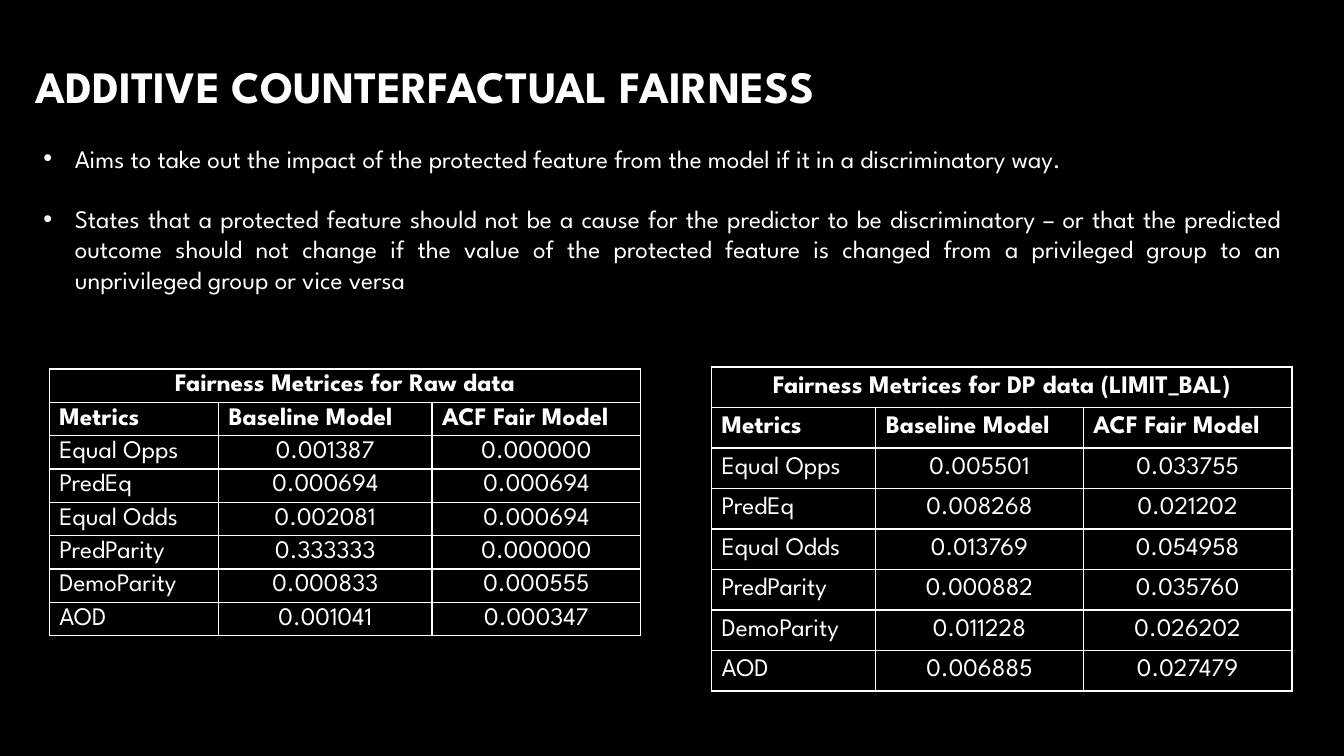
from lxml.etree import SubElement
from pptx import Presentation
from pptx.dml.color import RGBColor
from pptx.enum.text import MSO_ANCHOR, MSO_AUTO_SIZE, PP_ALIGN
from pptx.oxml import parse_xml
from pptx.oxml.ns import nsdecls, qn
from pptx.util import Cm, Pt

COLORS = {"background": "000000", "text": "FFFFFF", "title_end": "A6A6A6", "border": "FFFFFF"}
FONT = "League Spartan"
BODY_SIZE = 18
HEADINGS = ["Metrics", "Baseline Model", "ACF Fair Model"]
METRICS = ["Equal Opps", "PredEq", "Equal Odds", "PredParity", "DemoParity", "AOD"]
POINTS = [
    "Aims to take out the impact of the protected feature from the model "
    "if it in a discriminatory way.",
    "States that a protected feature should not be a cause for the predictor to be "
    "discriminatory – or that the predicted outcome should not change if the value of the "
    "protected feature is changed from a privileged group to an unprivileged group or vice versa",
]
RAW_SCORES = [
    ("0.001387", "0.000000"),
    ("0.000694", "0.000694"),
    ("0.002081", "0.000694"),
    ("0.333333", "0.000000"),
    ("0.000833", "0.000555"),
    ("0.001041", "0.000347"),
]
DP_SCORES = [
    ("0.005501", "0.033755"),
    ("0.008268", "0.021202"),
    ("0.013769", "0.054958"),
    ("0.000882", "0.035760"),
    ("0.011228", "0.026202"),
    ("0.006885", "0.027479"),
]


def color(name):
    return RGBColor.from_string(COLORS[name])


def format_runs(paragraph, size, bold=False):
    for run in paragraph.runs:
        run.font.name = FONT
        run.font.size = Pt(size)
        run.font.bold = bold
        run.font.color.rgb = color("text")


def place(placeholder, left, top, width, height):
    placeholder.left, placeholder.top = Cm(left), Cm(top)
    placeholder.width, placeholder.height = Cm(width), Cm(height)


def add_heading(slide, left, top, width, height):
    heading = slide.shapes.title
    place(heading, left, top, width, height)
    frame = heading.text_frame
    frame.text = "ADDITIVE COUNTERFACTUAL FAIRNESS"
    frame.auto_size = MSO_AUTO_SIZE.NONE
    frame.vertical_anchor = MSO_ANCHOR.MIDDLE
    line = frame.paragraphs[0]
    line.alignment = PP_ALIGN.LEFT
    format_runs(line, 32, bold=True)
    fill = line.runs[0].font.fill
    fill.gradient()
    fill.gradient_angle = 267
    for stop, name in zip(fill.gradient_stops, ("text", "title_end")):
        stop.color.rgb = color(name)


def add_points(slide, left, top, width, height):
    body = slide.placeholders[1]
    place(body, left, top, width, height)
    frame = body.text_frame
    frame.text = "\n".join(POINTS)
    frame.auto_size = MSO_AUTO_SIZE.NONE
    for index, point in enumerate(frame.paragraphs):
        point.alignment = PP_ALIGN.JUSTIFY
        point.space_before = Pt(21.5 * index)
        properties = point._p.get_or_add_pPr()
        properties.set("marL", str(Cm(0.79)))
        properties.set("indent", str(Cm(-0.79)))
        SubElement(properties, qn("a:buChar"), char="•")
        format_runs(point, BODY_SIZE)


def outline(cell):
    properties = cell._tc.get_or_add_tcPr()
    for position, side in enumerate("LRTB"):
        properties.insert(position, parse_xml(
            f'<a:ln{side} {nsdecls("a")} w="{Pt(1)}"><a:solidFill>'
            f'<a:srgbClr val="{COLORS["border"]}"/></a:solidFill></a:ln{side}>'
        ))


def add_metrics(slide, left, top, column_widths, row_height, caption, scores):
    rows = [[caption, "", ""], HEADINGS]
    rows += [[metric, *pair] for metric, pair in zip(METRICS, scores)]
    metrics = slide.shapes.add_table(
        len(rows), len(HEADINGS), Cm(left), Cm(top),
        Cm(sum(column_widths)), Cm(row_height * len(rows)),
    ).table
    metrics.first_row = metrics.horz_banding = False
    for column, width in zip(metrics.columns, column_widths):
        column.width = Cm(width)
    for row in metrics.rows:
        row.height = Cm(row_height)
    metrics.cell(0, 0).merge(metrics.cell(0, len(HEADINGS) - 1))
    for row_index, entries in enumerate(rows):
        for column_index, entry in enumerate(entries):
            cell = metrics.cell(row_index, column_index)
            cell.fill.background()
            outline(cell)
            cell.vertical_anchor = MSO_ANCHOR.MIDDLE
            cell.margin_top = cell.margin_bottom = 0
            if cell.is_spanned:
                continue
            cell.text_frame.text = entry
            line = cell.text_frame.paragraphs[0]
            centred = row_index == 0 or (row_index > 1 and column_index > 0)
            line.alignment = PP_ALIGN.CENTER if centred else PP_ALIGN.LEFT
            format_runs(line, BODY_SIZE, bold=row_index < 2)


def main():
    deck = Presentation()
    deck.slide_width, deck.slide_height = Cm(33.87), Cm(19.05)
    slide = deck.slides.add_slide(deck.slide_layouts[1])
    slide.background.fill.solid()
    slide.background.fill.fore_color.rgb = color("background")
    add_heading(slide, 0.64, 1.3, 27.51, 1.7)
    add_metrics(slide, 1.24, 9.3, (4.27, 5.38, 5.26), 0.84,
                "Fairness Metrices for Raw data", RAW_SCORES)
    add_metrics(slide, 17.93, 9.25, (4.14, 5.23, 5.26), 1.02,
                "Fairness Metrices for DP data (LIMIT_BAL)", DP_SCORES)
    add_points(slide, 0.84, 3.48, 31.72, 4.11)
    deck.save("out.pptx")


if __name__ == "__main__":
    main()
